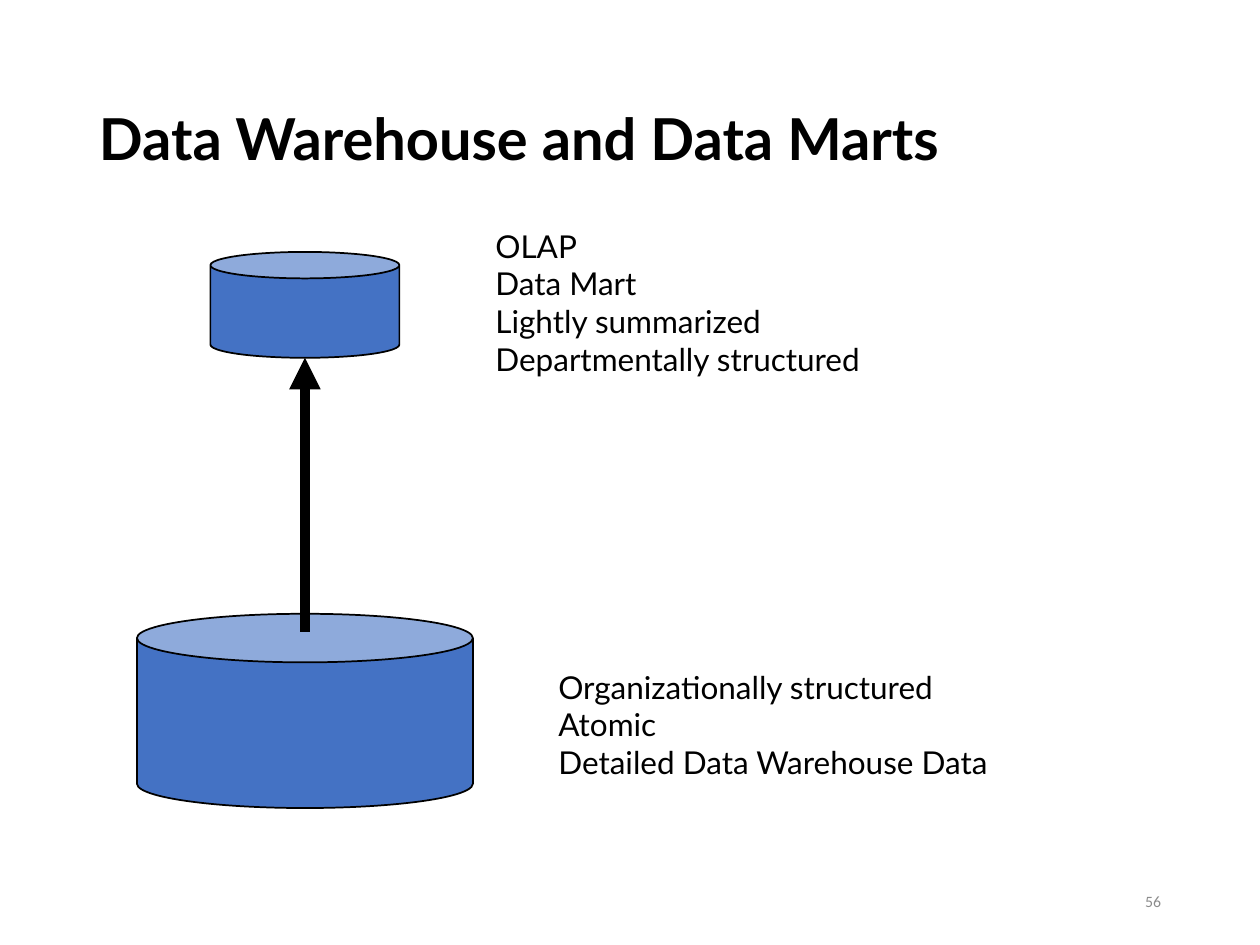
from lxml.etree import SubElement
from pptx import Presentation
from pptx.dml.color import RGBColor
from pptx.enum.shapes import MSO_CONNECTOR as Conn, MSO_SHAPE as Shape
from pptx.enum.text import MSO_ANCHOR as Anchor, PP_ALIGN as Align
from pptx.oxml.ns import qn
from pptx.util import Pt

COLORS = {"ink": "000000", "can": "4472C4", "page": "8C8C8C"}
AXIS = 174.25  # shared centre line of both cans and the arrow


def color(name):
    return RGBColor.from_string(COLORS[name])


def add_text(slide, lines, x, y, w, h, size=18, font="Lato", tint="ink",
             bold=False, align=Align.LEFT, anchor=Anchor.TOP, space=1.0):
    """Add a text box with one paragraph per line."""
    box = slide.shapes.add_textbox(Pt(x), Pt(y), Pt(w), Pt(h))
    frame = box.text_frame
    frame.word_wrap = True
    frame.vertical_anchor = anchor
    frame.text = "\n".join(lines)
    for para in frame.paragraphs:
        para.alignment = align
        para.line_spacing = space
        para.font.name = font
        para.font.size = Pt(size)
        para.font.bold = bold
        para.font.color.rgb = color(tint)


def add_can(slide, y, w, h):
    can = slide.shapes.add_shape(
        Shape.CAN, Pt(AXIS - w / 2), Pt(y), Pt(w), Pt(h))
    can.adjustments[0] = 0.25
    can.shadow.inherit = False
    can.fill.solid()
    can.fill.fore_color.rgb = color("can")
    can.line.color.rgb = color("ink")
    can.line.width = Pt(1)


def add_arrow(slide, start, end):
    """Add a vertical arrow on the axis, with its head at end."""
    arrow = slide.shapes.add_connector(
        Conn.STRAIGHT, Pt(AXIS), Pt(start), Pt(AXIS), Pt(end))
    arrow.line.color.rgb = color("ink")
    arrow.line.width = Pt(6)
    SubElement(arrow.line._get_or_add_ln(), qn("a:tailEnd"), type="triangle")
    SubElement(arrow._element.spPr, qn("a:effectLst"))


def main():
    deck = Presentation()
    deck.slide_width, deck.slide_height = Pt(720), Pt(540)
    slide = deck.slides.add_slide(deck.slide_layouts[6])

    add_text(slide, ["Data Warehouse and Data Marts"], 49.5, 28.75, 621, 104.4,
             size=33, bold=True, anchor=Anchor.MIDDLE, space=0.9)
    add_text(slide, ["56"], 508.5, 500.5, 162, 28.75, size=9, font="Calibri",
             tint="page", align=Align.RIGHT, anchor=Anchor.MIDDLE)

    add_can(slide, 350.75, 192, 111)
    add_can(slide, 144, 108, 60.5)
    add_arrow(slide, 361, 204.5)

    add_text(slide, ["OLAP", "Data Mart", "Lightly summarized",
                     "Departmentally structured"], 276, 126, 291, 122.5)
    add_text(slide, ["Organizationally structured", "Atomic",
                     "Detailed Data Warehouse Data"], 312, 378, 341, 93.5)

    deck.save("out.pptx")


if __name__ == "__main__":
    main()
